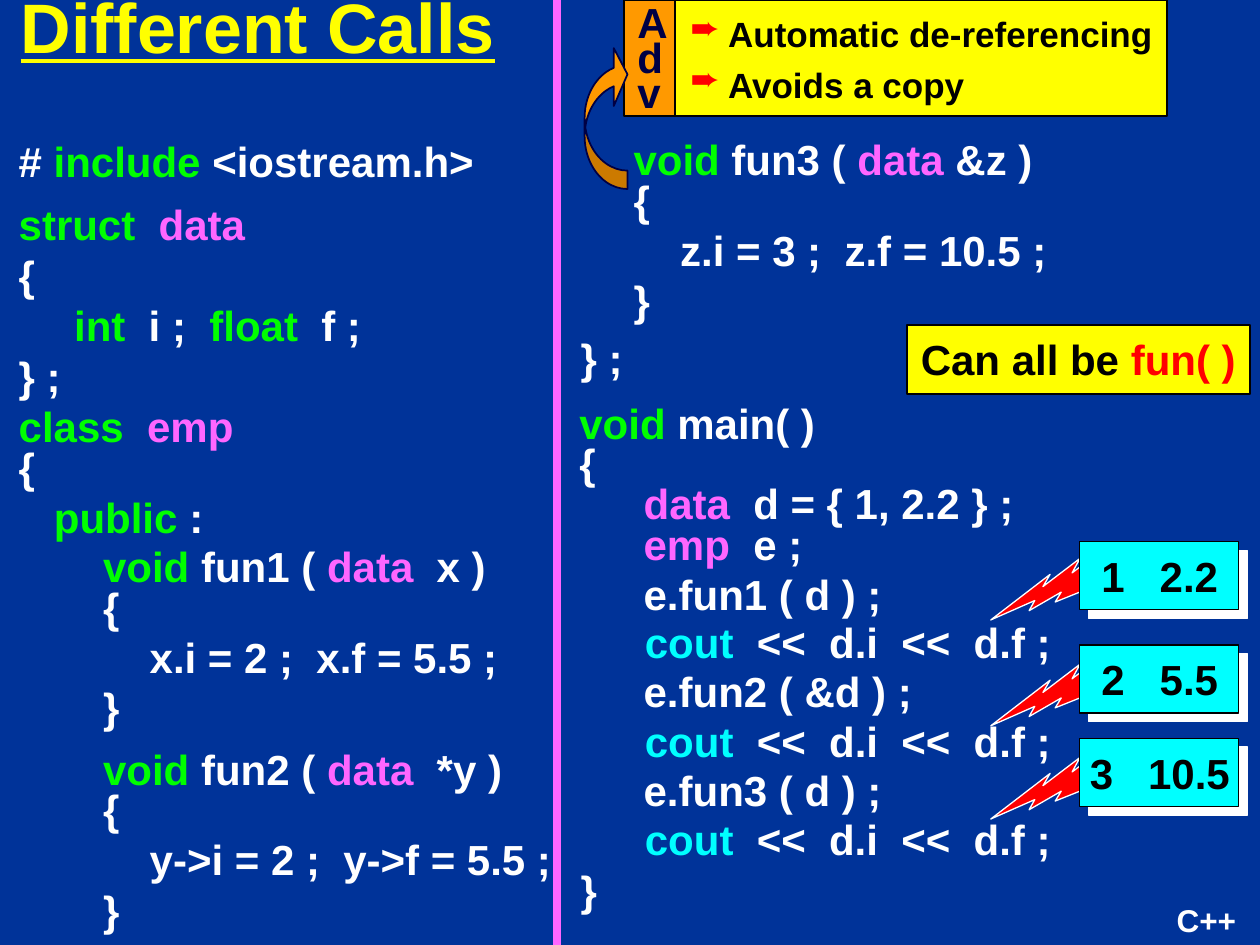
import itertools
from dataclasses import dataclass, field

import pptx
import pptx.util
from pptx.dml.color import RGBColor
from pptx.enum.shapes import MSO_CONNECTOR, MSO_SHAPE
from pptx.enum.text import MSO_AUTO_SIZE, PP_ALIGN
from pptx.oxml.ns import qn
from lxml import etree

Inches, Pt = pptx.util.Inches, pptx.util.Pt


@dataclass(frozen=True)
class Theme:
    font: str = "Arial"
    title_size: int = 40
    code_size: int = 24
    bullet_size: int = 20
    footer_size: int = 18
    background: str = "003399"
    white: str = "FFFFFF"
    black: str = "000000"
    navy: str = "000044"
    yellow: str = "FFFF00"
    orange: str = "FF9900"
    red: str = "FF0000"
    cyan: str = "00FFFF"
    pink: str = "FF66FF"
    syntax: dict = field(default_factory=lambda: {
        **dict.fromkeys(("include", "struct", "class", "public", "void", "int", "float"), "00FF00"),
        **dict.fromkeys(("data", "emp"), "FF66FF"),
        "cout": "00FFFF",
    })


theme = Theme()
deck = pptx.Presentation()
deck.slide_width, deck.slide_height = Inches(10), Inches(7.5)
slide = deck.slides.add_slide(deck.slide_layouts[6])
slide.background.fill.solid()
slide.background.fill.fore_color.rgb = RGBColor.from_string(theme.background)


def add_text(box, lines, size=theme.code_size, colour=theme.white, tight=(), tight_spacing=0.8,
             tabs=(), wrap=True, align=None, before=None):
    """Add bold lines with keywords coloured; tight holds the indices of closely spaced lines."""
    frame = slide.shapes.add_textbox(*map(Inches, box)).text_frame
    frame.word_wrap = wrap
    frame.auto_size = MSO_AUTO_SIZE.SHAPE_TO_FIT_TEXT
    for index, line in enumerate(lines):
        paragraph = frame.paragraphs[0] if index == 0 else frame.add_paragraph()
        paragraph.alignment = align
        if index in tight:
            paragraph.line_spacing = tight_spacing
        if before:
            paragraph.space_before = Pt(before)
        if tabs:
            stops = etree.SubElement(paragraph._p.get_or_add_pPr(), qn("a:tabLst"))
            for stop in tabs:
                etree.SubElement(stops, qn("a:tab"), pos=str(Inches(stop)), algn="l")
        for row, piece in enumerate(line.split("\v")):
            if row:
                paragraph.add_line_break()
            words = ("".join(chars) for _, chars in itertools.groupby(piece, str.isalnum))
            for shade, part in itertools.groupby(words, lambda word: theme.syntax.get(word, colour)):
                run = paragraph.add_run()
                run.text = "".join(part)
                run.font.name, run.font.size, run.font.bold = theme.font, Pt(size), True
                run.font.color.rgb = RGBColor.from_string(shade)
    return frame


def add_block(preset, box, fill, line, width=1.0):
    shape = slide.shapes.add_shape(preset, *map(Inches, box))
    shape.shadow.inherit = False
    shape.fill.solid()
    shape.fill.fore_color.rgb = RGBColor.from_string(fill)
    shape.line.color.rgb = RGBColor.from_string(line)
    shape.line.width = Pt(width)
    return shape


# Title and column divider
title = add_text((-0.08, -0.18, 4.25, 0.77), ["Different Calls"], theme.title_size, theme.yellow,
                 align=PP_ALIGN.CENTER, before=25)
for run in title.paragraphs[0].runs:
    run.font.underline = True

divider = slide.shapes.add_connector(MSO_CONNECTOR.STRAIGHT, Inches(4.42), 0, Inches(4.42), Inches(7.5))
divider.line.color.rgb = RGBColor.from_string(theme.pink)
divider.line.width = Pt(4.5)
etree.SubElement(divider._element.spPr, qn("a:effectLst"))

# Declarations in the left column
add_text((0.05, 1.1, 5.04, 0.42), ["# include <iostream.h>"], tight=[0])
add_text((0.05, 1.53, 2.92, 2.82),
         ["struct  data", "{", "\t\tint  i ;  float  f ;", "} ;", "class  emp", "{", "\tpublic :"],
         tight=[5], tabs=(0.28, 0.44), wrap=False)

# Member functions: by value, by pointer, by reference
for left, top, width, signature, body in (
    (0.72, 4.32, 5.03, "void fun1 ( data  x )", "x.i = 2 ;  x.f = 5.5 ;"),
    (0.72, 5.93, 3.8, "void fun2 ( data  *y )", "y->i = 2 ;  y->f = 5.5 ;"),
    (4.93, 1.09, 5, "void fun3 ( data &z )", "z.i = 3 ;  z.f = 10.5 ;"),
):
    add_text((left, top, width, 1.54), [signature, "{", "\t" + body, "}"], tight=(0, 1), tabs=[0.37])
add_text((4.51, 2.59, 0.53, 0.5), ["} ;"], wrap=False)

# Main program
output_line = "cout  <<  d.i  <<  d.f ;"
for left, top, height, lines, tight in (
    (4.5, 3.18, 1.78, ["void main( )", "{", "\tdata  d = { 1, 2.2 } ;", "\temp  e ;", "\te.fun1 ( d ) ;"], range(4)),
    (5.02, 4.92, 0.42, [output_line], [0]),
    (4.5, 5.23, 0.5, ["\te.fun2 ( &d ) ;"], ()),
    (5.02, 5.63, 0.5, [output_line], ()),
    (4.5, 6.02, 0.5, ["\te.fun3 ( d ) ;"], ()),
    (4.51, 6.41, 0.9, ["\t" + output_line, "}"], ()),
):
    add_text((left, top, 5.92, height), lines, tight=tight, tabs=[0.51])

# Printed results
for bolt_top, top, values in ((4.43, 4.3, "1   2.2"), (5.27, 5.12, "2   5.5"), (6.01, 5.86, "3   10.5")):
    bolt = add_block(MSO_SHAPE.LIGHTNING_BOLT, (7.83, bolt_top, 1.08, 0.42), theme.red, theme.white, 0.75)
    bolt.rotation = 129.8
    result = add_block(MSO_SHAPE.RECTANGLE, (8.57, top, 1.26, 0.54), theme.cyan, theme.black, 0.75)
    shadow = etree.SubElement(result._element.spPr.find(qn("a:effectLst")), qn("a:outerShdw"),
                              dist=str(Pt(7.1)), dir=str(45 * 60000), algn="ctr", rotWithShape="0")
    etree.SubElement(shadow, qn("a:srgbClr"), val=theme.white)
    add_text((8.31, top + 0.02, 1.79, 0.5), [values], colour=theme.black, align=PP_ALIGN.CENTER, before=15)

# Advantages of passing by reference
add_block(MSO_SHAPE.RECTANGLE, (4.95, 0, 0.42, 0.92), theme.orange, theme.black)
add_text((4.96, 0.03, 0.44, 0.94), ["A\vd\vv"], colour=theme.navy, tight=[0], tight_spacing=0.7, wrap=False)
add_block(MSO_SHAPE.RECTANGLE, (5.36, 0, 3.9, 0.92), theme.yellow, theme.black)
advantages = add_text((5.38, 0.09, 4.55, 0.79), ["Automatic de-referencing", "Avoids a copy"],
                      theme.bullet_size, theme.black, tight=(0, 1), tight_spacing=0.7, before=12.5)
advantages.margin_top = Inches(0.1)
for paragraph in advantages.paragraphs:
    properties = paragraph._p.get_or_add_pPr()
    properties.set("marL", str(Inches(0.3)))
    properties.set("indent", str(Inches(-0.3)))
    bullet_colour = etree.SubElement(properties, qn("a:buClr"))
    etree.SubElement(bullet_colour, qn("a:srgbClr"), val=theme.red)
    etree.SubElement(properties, qn("a:buChar"), char="➨")

reference_arrow = add_block(MSO_SHAPE.CURVED_LEFT_ARROW, (4.64, 0.36, 0.34, 1.14), theme.orange, theme.navy)
reference_arrow.rotation = 180
for index, proportion in enumerate((0.43, 1.35, 0.32)):
    reference_arrow.adjustments[index] = proportion

# Overloading remark
add_block(MSO_SHAPE.RECTANGLE, (7.2, 2.58, 2.72, 0.55), theme.yellow, theme.black)
remark = add_text((7.21, 2.6, 2.7, 0.5), ["Can all be"], colour=theme.black, wrap=False)
shared_name = remark.paragraphs[0].add_run()
shared_name.text = " fun( )"
shared_name.font.name, shared_name.font.size, shared_name.font.bold = theme.font, Pt(theme.code_size), True
shared_name.font.color.rgb = RGBColor.from_string(theme.red)

add_text((9.24, 7.1, 0.67, 0.4), ["C++"], theme.footer_size, wrap=False)

deck.save("out.pptx")
